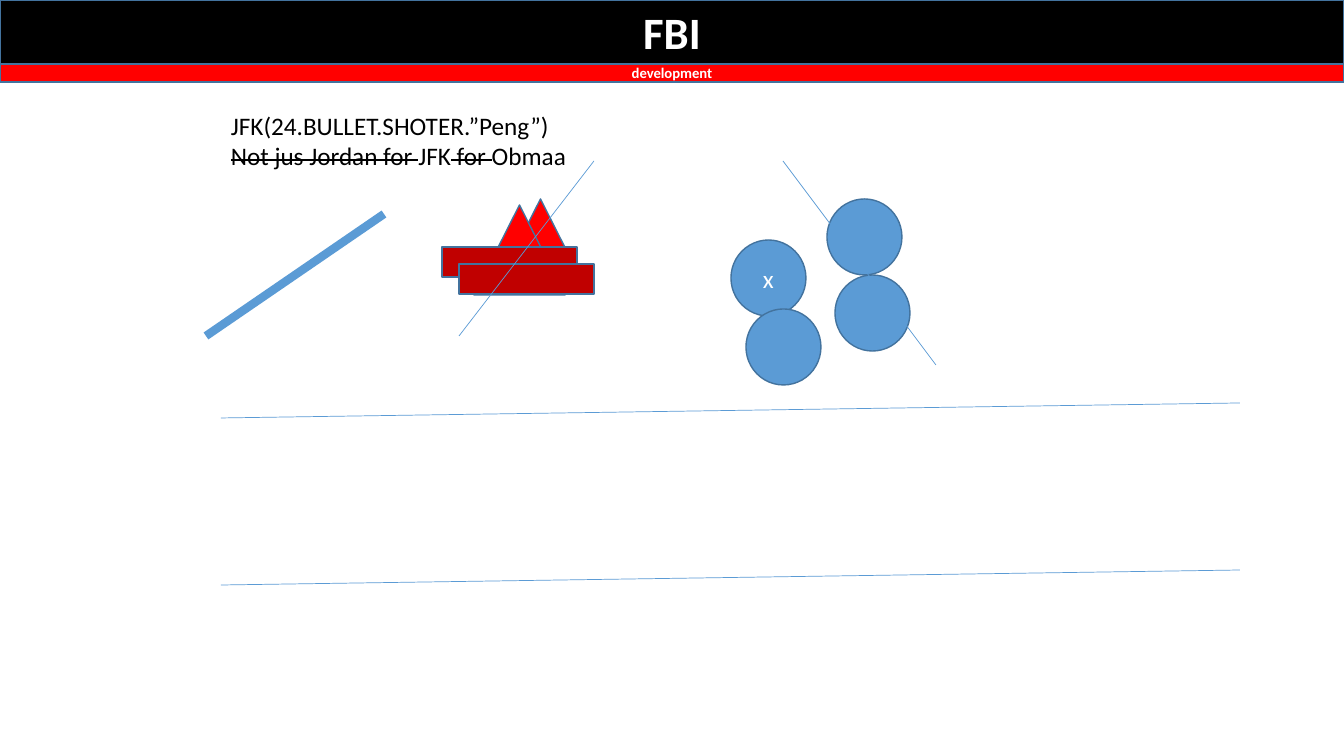
from lxml import etree
from pptx import Presentation
from pptx.dml.color import RGBColor
from pptx.enum.shapes import MSO_CONNECTOR, MSO_SHAPE
from pptx.enum.text import MSO_ANCHOR, MSO_AUTO_SIZE, PP_ALIGN
from pptx.oxml.ns import qn
from pptx.util import Emu, Pt

RECT = MSO_SHAPE.RECTANGLE
OVAL = MSO_SHAPE.OVAL
PEAK = MSO_SHAPE.ISOSCELES_TRIANGLE
STRAIGHT = MSO_CONNECTOR.STRAIGHT
MIDDLE = MSO_ANCHOR.MIDDLE
CENTER = PP_ALIGN.CENTER
LEFT = PP_ALIGN.LEFT
NO_FIT = MSO_AUTO_SIZE.NONE
GROW = MSO_AUTO_SIZE.SHAPE_TO_FIT_TEXT

BLACK = RGBColor(0x00, 0x00, 0x00)
WHITE = RGBColor(0xFF, 0xFF, 0xFF)
RED = RGBColor(0xFF, 0x00, 0x00)
DARK_RED = RGBColor(0xC0, 0x00, 0x00)
BLUE = RGBColor(0x5B, 0x9B, 0xD5)
EDGE = RGBColor(0x43, 0x73, 0x9E)

FONT = "Calibri"
SCALE = 914400 / 100.8
WIDTH, HEIGHT = 1344, 756


def emu(*px):
    return [Emu(round(n * SCALE)) for n in px]


class Board:
    """Holds the slide and draws styled elements on it, in px."""

    def __init__(self, deck):
        deck.slide_width, deck.slide_height = emu(WIDTH, HEIGHT)
        self.slide = deck.slides.add_slide(deck.slide_layouts[5])
        self.shapes = self.slide.shapes

    def paint(self, shape, fill):
        shape.fill.solid()
        shape.fill.fore_color.rgb = fill
        shape.line.color.rgb = EDGE
        shape.line.width = Pt(1)

    def style(self, run, size, color, bold=False):
        font = run.font
        font.name, font.size, font.bold = FONT, Pt(size), bold
        font.color.rgb = color

    def label(self, shape, text, size, bold):
        frame = shape.text_frame
        frame.text = text
        frame.auto_size = NO_FIT
        frame.vertical_anchor = MIDDLE
        para = frame.paragraphs[0]
        para.alignment = CENTER
        self.style(para.runs[0], size, WHITE, bold)

    def title(self, text, box, fill, size):
        shape = self.shapes.title
        shape.left, shape.top, shape.width, shape.height = emu(*box)
        self.paint(shape, fill)
        self.label(shape, text, size, True)

    def shape(self, kind, box, fill, text="", size=18, bold=False):
        shape = self.shapes.add_shape(kind, *emu(*box))
        shape.shadow.inherit = False
        self.paint(shape, fill)
        if text:
            self.label(shape, text, size, bold)

    def line(self, start, end, width=0.5):
        line = self.shapes.add_connector(STRAIGHT, *emu(*start, *end))
        line.line.color.rgb = BLUE
        line.line.width = Pt(width)
        etree.SubElement(line._element.spPr, qn("a:effectLst"))

    def note(self, box, rows, size):
        """Add a text box; each row is a list of (text, struck) parts."""
        frame = self.shapes.add_textbox(*emu(*box)).text_frame
        frame.word_wrap = False
        frame.auto_size = GROW
        for i, row in enumerate(rows):
            para = frame.add_paragraph() if i else frame.paragraphs[0]
            para.alignment = LEFT
            for text, struck in row:
                run = para.add_run()
                run.text = text
                self.style(run, size, BLACK)
                if struck:
                    run._r.get_or_add_rPr().set("strike", "sngStrike")


def main():
    deck = Presentation()
    board = Board(deck)

    board.title("FBI", (0, 0, WIDTH, 64), BLACK, 32)
    board.shape(RECT, (0, 64, WIDTH, 18), RED, "development", 10.5, True)

    for left, top in ((495, 199), (474, 205)):
        board.shape(PEAK, (left, top, 91, 90), RED)
    for left, top in ((442, 247), (459, 264)):
        board.shape(RECT, (left, top, 135, 30), DARK_RED)

    board.line((206, 336), (384, 214), 6)
    for left, top, text in ((827, 199, ""), (835, 275, ""),
                            (731, 240, "x"), (746, 309, "")):
        board.shape(OVAL, (left, top, 75, 76), BLUE, text)
    board.line((459, 336), (594, 161))

    board.note((221, 105, 359, 72), [
        [("JFK(24.BULLET.SHOTER.”Peng”)", False)],
        [("Not jus Jordan for ", True), ("JFK", False),
         (" for ", True), ("Obmaa", False)],
    ], 18)

    for top in (403, 570):
        board.line((221, top + 15), (1240, top))
    board.line((783, 161), (936, 365))

    deck.save("out.pptx")


if __name__ == "__main__":
    main()
